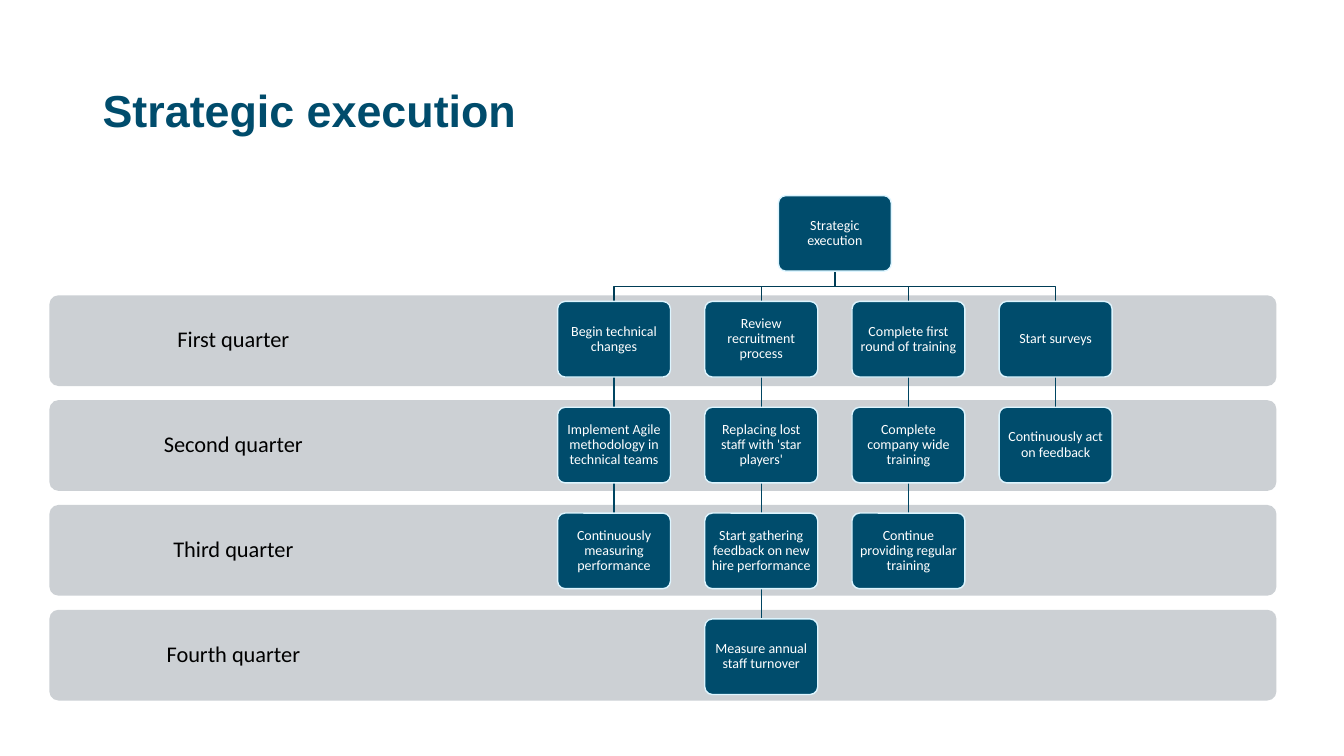
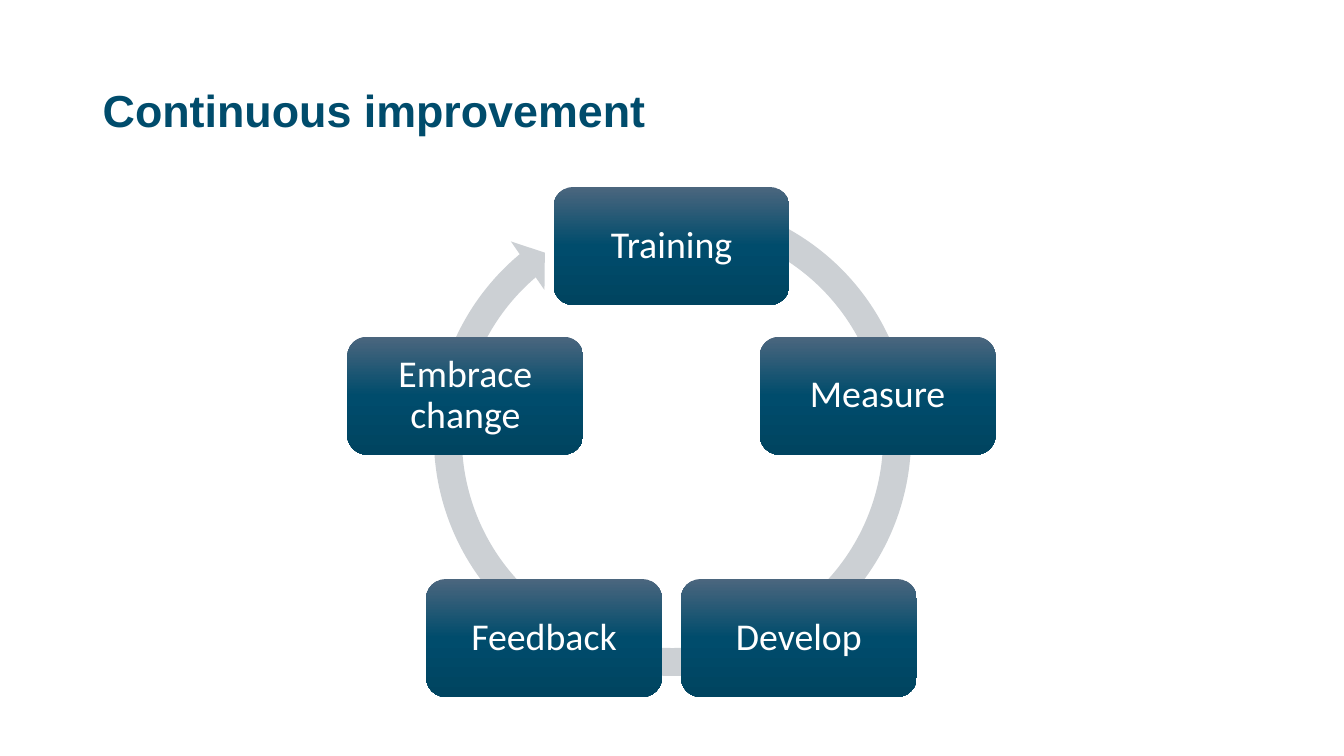
import copy
import math
import pptx
import pptx.util
import pptx.dml.color
import pptx.enum.shapes
import pptx.enum.text
import pptx.oxml
import pptx.oxml.ns
from dataclasses import dataclass

Inches = pptx.util.Inches
Pt = pptx.util.Pt
RGB = pptx.dml.color.RGBColor.from_string
SHAPE = pptx.enum.shapes.MSO_SHAPE
ALIGN = pptx.enum.text.PP_ALIGN


@dataclass
class Theme:
    heading_font: str = "Arial"
    body_font: str = "Calibri"
    title_size: int = 32
    band_size: int = 16
    box_size: int = 10
    cycle_size: int = 27
    navy = RGB("004C6C")
    grey = RGB("CCD0D4")
    outline = RGB("DDF5FF")
    branch = RGB("003D56")
    link = RGB("004562")
    black = RGB("000000")
    white = RGB("FFFFFF")
    gradient = ((0, RGB("4B667E")), (0.5, RGB("004C6C")), (1, RGB("004460")))


theme = Theme()


def write_text(shape, text, size, color, margins, font=theme.body_font, align=ALIGN.CENTER):
    frame = shape.text_frame
    frame.word_wrap = True
    frame.vertical_anchor = pptx.enum.text.MSO_ANCHOR.MIDDLE
    left, top, right, bottom = margins
    frame.margin_left, frame.margin_right = Inches(left), Inches(right)
    frame.margin_top, frame.margin_bottom = Inches(top), Inches(bottom)
    paragraph = frame.paragraphs[0]
    paragraph.text = text
    paragraph.alignment = align
    paragraph.line_spacing = 0.9
    paragraph.font.name = font
    paragraph.font.size = Pt(size)
    paragraph.font.color.rgb = color
    return paragraph


def add_filled(slide, kind, left, top, width, height, color, adjustments=()):
    shape = slide.shapes.add_shape(kind, Inches(left), Inches(top), Inches(width), Inches(height))
    shape.shadow.inherit = False
    shape.fill.solid()
    shape.fill.fore_color.rgb = color
    shape.line.fill.background()
    for index, value in enumerate(adjustments):
        shape.adjustments[index] = value
    return shape


presentation = pptx.Presentation()
presentation.slide_width = Inches(13.33)
presentation.slide_height = Inches(7.5)

slides = []
for title in ("Strategic execution", "Continuous improvement"):
    slide = presentation.slides.add_slide(presentation.slide_layouts[6])
    title_box = slide.shapes.add_textbox(Inches(0.92), Inches(0.4), Inches(11.5), Inches(1.45))
    paragraph = write_text(title_box, title, theme.title_size, theme.navy, (0.1, 0.05, 0.1, 0.05),
                           theme.heading_font, ALIGN.LEFT)
    paragraph.font.bold = True
    slides.append(slide)
plan_slide, cycle_slide = slides

quarters = ("First quarter", "Second quarter", "Third quarter", "Fourth quarter")
for row, quarter in enumerate(quarters):
    band = add_filled(plan_slide, SHAPE.ROUNDED_RECTANGLE, 0.49, 2.93 + 1.04 * row, 12.17, 0.9,
                      theme.grey, (0.1,))
    write_text(band, quarter, theme.band_size, theme.black, (0.09, 0.12, 8.61, 0.12))

workstreams = (
    ("Begin technical changes", "Implement Agile methodology in technical teams",
     "Continuously measuring performance"),
    ("Review recruitment process", "Replacing lost staff with 'star players'",
     "Start gathering feedback on new hire performance", "Measure annual staff turnover"),
    ("Complete first round of training", "Complete company wide training",
     "Continue providing regular training"),
    ("Start surveys", "Continuously act on feedback"),
)
box_width, box_height = 1.12, 0.75
column_step, row_step = 1.46, 1.05
first_left, root_top = 5.53, 1.94
root_left = first_left + column_step * (len(workstreams) - 1) / 2
root_center = root_left + box_width / 2
root_bottom = root_top + box_height
gap = row_step - box_height

boxes = [("Strategic execution", root_left, root_top)]
for column, tasks in enumerate(workstreams):
    left = first_left + column_step * column
    center = left + box_width / 2
    builder = plan_slide.shapes.build_freeform(Inches(root_center), Inches(root_bottom))
    corners = ((root_center, root_bottom + gap / 2), (center, root_bottom + gap / 2),
               (center, root_bottom + gap))
    builder.add_line_segments([(Inches(x), Inches(y)) for x, y in corners], close=False)
    branch = builder.convert_to_shape()
    branch.shadow.inherit = False
    branch.fill.background()
    branch.line.color.rgb = theme.branch
    branch.line.width = Pt(1)
    for row, task in enumerate(tasks, 1):
        top = root_top + row_step * row
        boxes.append((task, left, top))
        if row > 1:
            link = plan_slide.shapes.add_connector(
                pptx.enum.shapes.MSO_CONNECTOR.STRAIGHT,
                Inches(center), Inches(top - gap), Inches(center), Inches(top))
            link.line.color.rgb = theme.link
            link.line.width = Pt(1)
            link._element.spPr.append(pptx.oxml.parse_xml(
                "<a:effectLst %s/>" % pptx.oxml.ns.nsdecls("a")))

for task, left, top in boxes:
    box = add_filled(plan_slide, SHAPE.ROUNDED_RECTANGLE, left, top, box_width, box_height,
                     theme.navy, (0.1,))
    box.line.color.rgb = theme.outline
    box.line.width = Pt(1)
    write_text(box, task, theme.box_size, theme.white, (0.04,) * 4)

add_filled(cycle_slide, SHAPE.CIRCULAR_ARROW, 4.15, 1.82, 5.04, 5.04, theme.grey,
           (0.055, 3.307, 137.924, 173.759, 0.058))

steps = ("Training", "Measure", "Develop", "Feedback", "Embrace change")
center_x, center_y, radius = 6.66, 4.59, 2.15
step_width, step_height = 2.34, 1.17
for index, step in enumerate(steps):
    angle = 2 * math.pi * index / len(steps)
    left = center_x + radius * math.sin(angle) - step_width / 2
    top = center_y - radius * math.cos(angle) - step_height / 2
    card = add_filled(cycle_slide, SHAPE.ROUNDED_RECTANGLE, left, top, step_width, step_height,
                      theme.navy)
    card.fill.gradient()
    card.fill.gradient_angle = 270
    stop_list = card._element.spPr.find(".//" + pptx.oxml.ns.qn("a:gsLst"))
    stop_list.append(copy.deepcopy(stop_list[-1]))
    for stop, (position, color) in zip(card.fill.gradient_stops, theme.gradient):
        stop.position = position
        stop.color.rgb = color
    write_text(card, step, theme.cycle_size, theme.white, (0.11,) * 4)

presentation.save("out.pptx")
